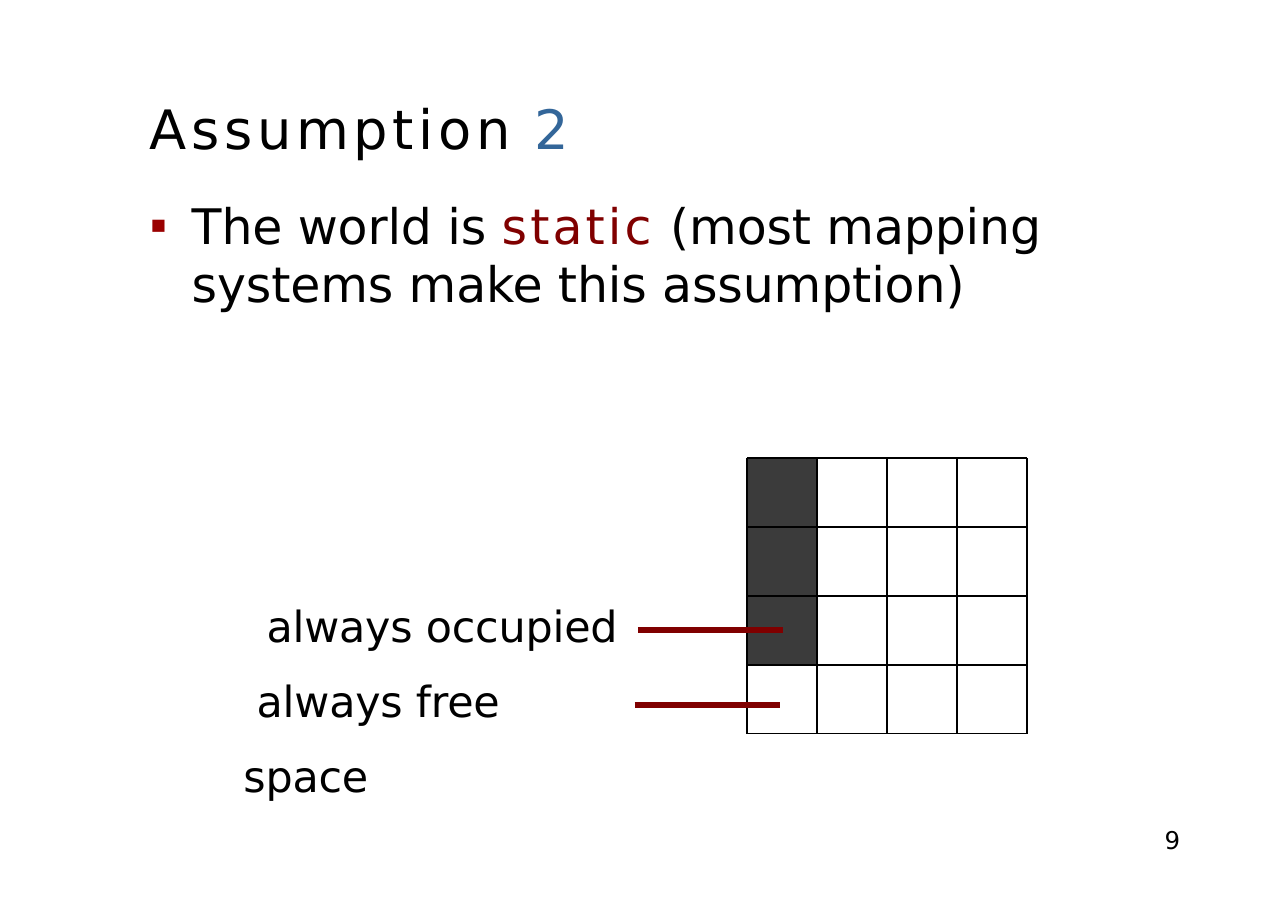
from lxml import etree
from pptx import Presentation
from pptx import util as u
from pptx.dml.color import RGBColor
from pptx.enum import shapes, text
from pptx.oxml.ns import qn

BLACK = RGBColor(0x00, 0x00, 0x00)
BLUE = RGBColor(0x33, 0x66, 0x99)
MAROON = RGBColor(0x80, 0x00, 0x00)
DARK = RGBColor(0x3B, 0x3B, 0x3B)
FONT = "DejaVu Sans"


def write(sp, box, paragraphs, size, top_inset=0, left=0.01, indents=(0,), spacing=None):
    """Place sp at box and fill it with paragraphs of (text, colour, tracking) runs."""
    sp.left, sp.top, sp.width, sp.height = map(u.Inches, box)
    tf = sp.text_frame
    tf.word_wrap = True
    tf.auto_size = text.MSO_AUTO_SIZE.NONE
    tf.vertical_anchor = text.MSO_ANCHOR.TOP
    tf.margin_left = tf.margin_right = tf.margin_bottom = 0
    tf.margin_top = u.Inches(top_inset)
    for i, (runs, indent) in enumerate(zip(paragraphs, indents)):
        p = tf.paragraphs[0] if i == 0 else tf.add_paragraph()
        pPr = p._p.get_or_add_pPr()
        pPr.set("marL", str(u.Inches(left)))
        pPr.set("indent", str(u.Inches(indent)))
        p.alignment = text.PP_ALIGN.LEFT
        p.space_before = u.Pt(0)
        p.line_spacing = spacing
        for words, colour, tracking in runs:
            r = p.add_run()
            r.text = words
            r.font.name = FONT
            r.font.size = u.Pt(size)
            r.font.color.rgb = colour
            r._r.get_or_add_rPr().set("spc", str(round(tracking * 100)))


def add_lines(s, segments):
    """Draw (x1, y1, x2, y2) segments as one outline without fill."""
    segments = [tuple(map(u.Inches, segment)) for segment in segments]
    builder = s.shapes.build_freeform(*segments[0][:2], scale=1.0)
    for i, (x1, y1, x2, y2) in enumerate(segments):
        if i > 0:
            builder.move_to(x1, y1)
        builder.add_line_segments([(x2, y2)], close=False)
    sp = builder.convert_to_shape()
    sp.shadow.inherit = False
    sp.fill.background()
    sp.line.color.rgb = BLACK
    sp.line.width = u.Pt(1)


prs = Presentation()
prs.slide_width, prs.slide_height = u.Inches(11.69), u.Inches(8.26)
s = prs.slides.add_slide(prs.slide_layouts[1])

# Title and statement
write(s.shapes.title, (1.35, 0.84, 3.95, 0.63),
      [[("Assumption", BLACK, 3), (" ", BLACK, 1), ("2", BLUE, 2.9)]], 35.5,
      top_inset=0.02)

body = s.placeholders[1]
write(body, (1.35, 1.75, 8.2, 1.09),
      [[("The world is ", BLACK, -0.1), ("static", MAROON, 2),
        (" (most mapping systems make this assumption)", BLACK, -0.1)]],
      32, top_inset=0.03, left=0.39, indents=(-0.38,), spacing=u.Pt(38))
pPr = body.text_frame.paragraphs[0]._p.pPr
colour = etree.SubElement(pPr, qn("a:buClr"))
etree.SubElement(colour, qn("a:srgbClr"), val="9A0000")
etree.SubElement(pPr, qn("a:buChar"), char="▪")

# Map grid with three occupied cells
N = 4
X, Y = 6.78, 4.16
CELL_W, CELL_H = 2.54 / N, 2.5 / N
RIGHT, BOTTOM = X + N * CELL_W, Y + N * CELL_H
occupied = s.shapes.add_shape(
    shapes.MSO_SHAPE.RECTANGLE, *map(u.Inches, (X, Y, CELL_W, 3 * CELL_H)))
occupied.shadow.inherit = False
occupied.fill.solid()
occupied.fill.fore_color.rgb = DARK
occupied.line.fill.background()
columns = [(X + i * CELL_W, Y, X + i * CELL_W, BOTTOM) for i in range(N + 1)]
rows = [(X, Y + i * CELL_H, RIGHT, Y + i * CELL_H) for i in range(N + 1)]
add_lines(s, columns[1:-1] + rows[1:-1])
add_lines(s, columns[:1])
add_lines(s, [columns[-1], rows[0], rows[-1]])

# Cell labels and their pointers
for x, y in ((5.79, 5.72), (5.76, 6.4)):
    pointer = s.shapes.add_connector(
        shapes.MSO_CONNECTOR.STRAIGHT, *map(u.Inches, (x, y, x + 1.32, y)))
    pointer.line.color.rgb = MAROON
    pointer.line.width = u.Pt(4)
    etree.SubElement(pointer._element.spPr, qn("a:effectLst"))
write(s.shapes.add_textbox(0, 0, 0, 0), (2.2, 5.22, 3.49, 1.39),
      [[("always occupied", BLACK, -0.1)], [("always free space", BLACK, -0.1)]],
      28, top_inset=0.01, indents=(0.21, 0.12), spacing=1.46)

# Page number
write(s.shapes.add_textbox(0, 0, 0, 0), (10.53, 7.52, 0.22, 0.25),
      [[("9", BLACK, -0.1)]], 16, left=0.04, spacing=u.Pt(16.8))

prs.save("out.pptx")
